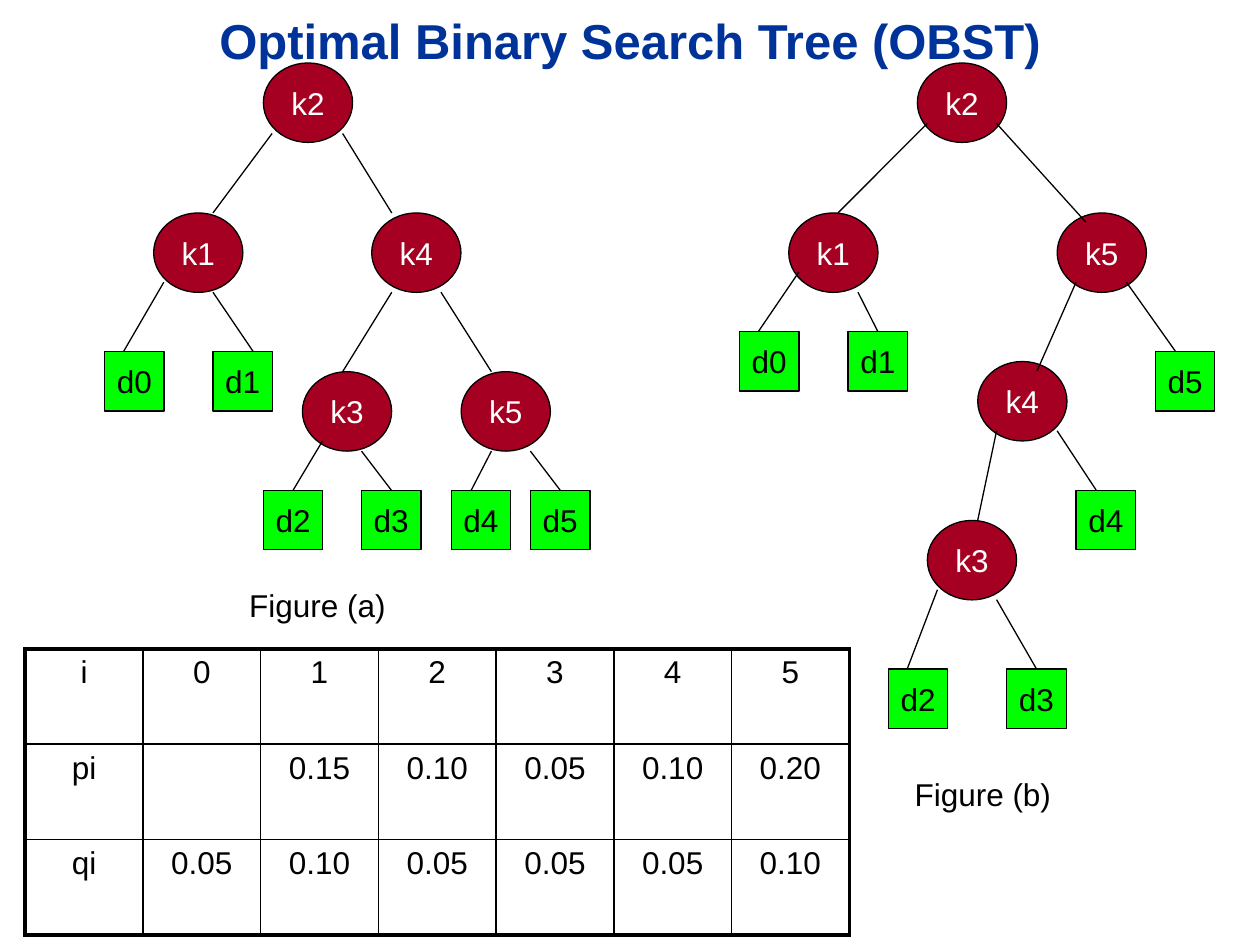
"""Build a slide comparing two binary search trees and their probabilities."""
from dataclasses import dataclass
from typing import Optional

from lxml.etree import SubElement
from pptx import Presentation
from pptx.dml.color import RGBColor
from pptx.enum.shapes import MSO_CONNECTOR as Connector, MSO_SHAPE as Preset
from pptx.enum.text import MSO_ANCHOR as Anchor, MSO_AUTO_SIZE as AutoSize, PP_ALIGN as Align
from pptx.oxml.ns import qn
from pptx.slide import Slide
from pptx.text.text import TextFrame
from pptx.util import Pt


@dataclass(frozen=True)
class Theme:
    """Colours, type sizes and line widths."""
    font: str = "Arial"
    title: str = "003399"
    key: str = "A50021"
    leaf: str = "00FF00"
    line: str = "000000"
    text: str = "010000"
    on_key: str = "FFFFFF"
    title_size: float = 28
    body_size: float = 18
    edge_width: float = 0.75
    inner_border: float = 1
    outer_border: float = 2.25


@dataclass(frozen=True)
class Node:
    """A tree node with the edge coming in; an edge without end x meets the top middle."""
    label: str
    left: float
    top: float
    edge_start: Optional[tuple[float, float]] = None
    edge_end_x: Optional[float] = None
    edge_overlap: float = 0


@dataclass(frozen=True)
class Tree:
    """Keys, leaves and the caption with its place."""
    keys: list[Node]
    leaves: list[Node]
    caption: str
    caption_left: float
    caption_top: float


THEME = Theme()
KEY_SIZE = (51, 45.4)
LEAF_SIZE = (34, 34)
COLUMN_WIDTH, ROW_HEIGHT = 67.28, 54.5

TREES = [
    Tree(
        keys=[
            Node("k2", 150.5, 36),
            Node("k1", 87.8, 121.7, (155.5, 76.3), 121.7),
            Node("k4", 212.4, 121.7, (195.8, 76.3), 223.9),
            Node("k3", 172.8, 212.4, (223.9, 167), 195.8),
            Node("k5", 263.5, 212.4, (252, 167), 280.8),
        ],
        leaves=[
            Node("d0", 59.8, 200.9, (93.6, 161.3), 70.6),
            Node("d1", 121.7, 200.9, (121.7, 167), 144.7),
            Node("d2", 150.5, 280.1, (184.3, 252)),
            Node("d3", 206.6, 280.1, (206.6, 257.8)),
            Node("d4", 257.8, 280.1, (280.8, 257.8), 269.3),
            Node("d5", 303.1, 280.1, (303.1, 257.8)),
        ],
        caption="Figure (a)", caption_left=133.2, caption_top=331.2,
    ),
    Tree(
        keys=[
            Node("k2", 524.2, 36),
            Node("k1", 450.7, 121.7, (529.9, 70.6), 478.8),
            Node("k5", 604.1, 121.7, (569.5, 70.6), 620.6, 5.4),
            Node("k4", 558.7, 206.6, (614.9, 161.3), 592.6, 5.4),
            Node("k3", 529.9, 297.4, (569.5, 246.2), 558.7),
        ],
        leaves=[
            Node("d0", 422.6, 189.4, (456.5, 155.5), 433.4),
            Node("d1", 484.6, 189.4, (490.3, 167)),
            Node("d2", 507.6, 382.3, (535.7, 337), 518.4),
            Node("d3", 575.3, 382.3, (569.5, 342.7)),
            Node("d4", 614.9, 280.1, (604.1, 246.2), 626.4),
            Node("d5", 660.2, 200.9, (643.7, 161.3), 671.8),
        ],
        caption="Figure (b)", caption_left=513.4, caption_top=439.2,
    ),
]

PROBABILITIES = [
    ["i", "0", "1", "2", "3", "4", "5"],
    ["pi", "", "0.15", "0.10", "0.05", "0.10", "0.20"],
    ["qi", "0.05", "0.10", "0.05", "0.05", "0.05", "0.10"],
]


def write(frame: TextFrame, text: str, *, size: float = THEME.body_size,
          color: str = THEME.text, bold: bool = False) -> None:
    """Put one centred, formatted paragraph into a text frame."""
    para = frame.paragraphs[0]
    para.alignment = Align.CENTER
    para.space_before = Pt(0)
    span = para.add_run()
    span.text = text
    span.font.name = THEME.font
    span.font.size = Pt(size)
    span.font.bold = bold
    span.font.color.rgb = RGBColor.from_string(color)


def draw_node(page: Slide, node: Node, preset: Preset, size: tuple[float, float],
              fill: str, color: str) -> None:
    """Draw a node and the edge that leads to it."""
    box = page.shapes.add_shape(preset, Pt(node.left), Pt(node.top), *map(Pt, size))
    box.shadow.inherit = False
    box.fill.solid()
    box.fill.fore_color.rgb = RGBColor.from_string(fill)
    box.line.color.rgb = RGBColor.from_string(THEME.line)
    box.line.width = Pt(THEME.edge_width)
    box.text_frame.word_wrap = False
    box.text_frame.vertical_anchor = Anchor.MIDDLE
    write(box.text_frame, node.label, color=color)
    if node.edge_start is None:
        return
    end_x = node.left if node.edge_end_x is None else node.edge_end_x
    edge = page.shapes.add_connector(
        Connector.STRAIGHT, *map(Pt, node.edge_start), Pt(end_x), Pt(node.top + node.edge_overlap))
    if node.edge_end_x is None:
        edge.end_connect(box, 0)
    edge.line.color.rgb = RGBColor.from_string(THEME.line)
    edge.line.width = Pt(THEME.edge_width)
    SubElement(edge._element.spPr, qn("a:effectLst"))


def draw_tree(page: Slide, tree: Tree) -> None:
    """Draw the keys, the leaves and the caption of a tree."""
    for key in tree.keys:
        draw_node(page, key, Preset.OVAL, KEY_SIZE, THEME.key, THEME.on_key)
    for leaf in tree.leaves:
        draw_node(page, leaf, Preset.RECTANGLE, LEAF_SIZE, THEME.leaf, THEME.text)
    box = page.shapes.add_textbox(Pt(tree.caption_left), Pt(tree.caption_top), Pt(96.5), Pt(28.8))
    box.text_frame.word_wrap = True
    write(box.text_frame, tree.caption)


def draw_table(page: Slide, rows: list[list[str]], left: float, top: float) -> None:
    """Draw a plain table with a thick outer border."""
    height, width = len(rows), len(rows[0])
    table = page.shapes.add_table(height, width, Pt(left), Pt(top),
                                  Pt(width * COLUMN_WIDTH), Pt(height * ROW_HEIGHT)).table
    for column in table.columns:
        column.width = Pt(COLUMN_WIDTH)
    for y, row in enumerate(rows):
        table.rows[y].height = Pt(ROW_HEIGHT)
        for x, text in enumerate(row):
            cell = table.cell(y, x)
            properties = cell._tc.get_or_add_tcPr()
            outer = {"L": x == 0, "R": x == width - 1, "T": y == 0, "B": y == height - 1}
            for side, is_outer in outer.items():
                thickness = THEME.outer_border if is_outer else THEME.inner_border
                border = SubElement(properties, qn(f"a:ln{side}"), w=str(Pt(thickness)))
                SubElement(SubElement(border, qn("a:solidFill")), qn("a:srgbClr"), val=THEME.line)
            cell.fill.background()
            if text:
                write(cell.text_frame, text, color=THEME.line)


def draw_title(page: Slide, text: str) -> None:
    """Place and format the title."""
    box = page.shapes.title
    box.left, box.top, box.width, box.height = Pt(0), Pt(0), Pt(720), Pt(60)
    frame = box.text_frame
    frame.auto_size = AutoSize.NONE
    frame.vertical_anchor = Anchor.TOP
    frame.margin_top = Pt(6)
    write(frame, text, size=THEME.title_size, color=THEME.title, bold=True)


def main() -> None:
    """Build and save the deck."""
    deck = Presentation()
    deck.slide_width, deck.slide_height = Pt(720), Pt(540)
    page = deck.slides.add_slide(deck.slide_layouts[5])
    draw_title(page, "Optimal Binary Search Tree (OBST)")
    for tree in TREES:
        draw_tree(page, tree)
    draw_table(page, PROBABILITIES, 14.4, 370.8)
    deck.save("out.pptx")


if __name__ == "__main__":
    main()
